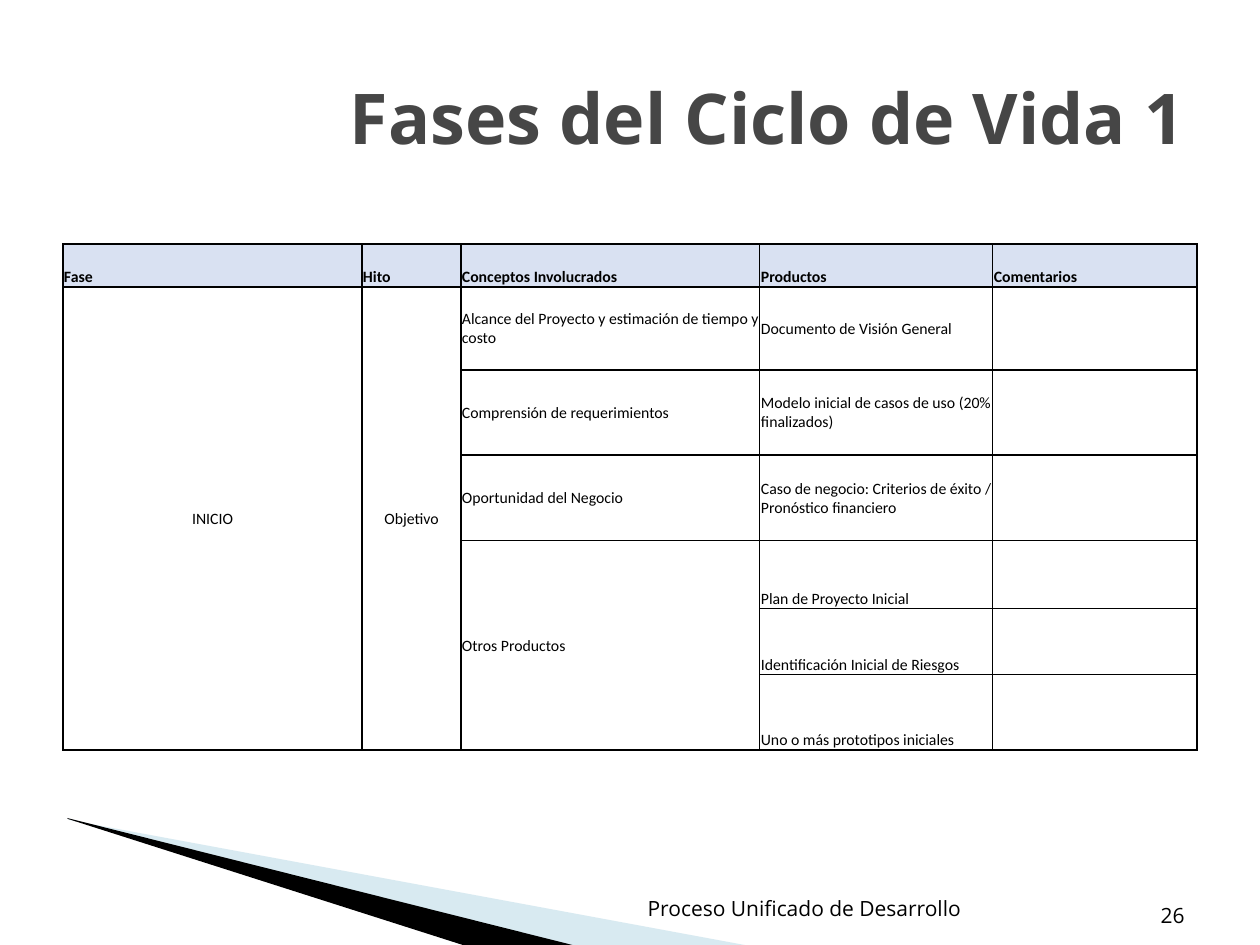
"""Build the slide on the phases of the life cycle, with its table and footer."""
from lxml import etree
from pptx import Presentation
from pptx import util as u
from pptx.dml.color import RGBColor
from pptx.enum import text
from pptx.oxml import ns

PX = 914400 / 126
BLACK = RGBColor(0x00, 0x00, 0x00)
TITLE_GRAY = RGBColor(0x46, 0x46, 0x46)
HEADER_BLUE = RGBColor(0xD9, 0xE1, 0xF2)
WEDGE_BLUE = RGBColor(0x9F, 0xCB, 0xDC)
LEFT, CENTER, RIGHT = text.PP_ALIGN.LEFT, text.PP_ALIGN.CENTER, text.PP_ALIGN.RIGHT
MIDDLE, BOTTOM = text.MSO_ANCHOR.MIDDLE, text.MSO_ANCHOR.BOTTOM


def px(*lengths):
    return [u.Emu(round(length * PX)) for length in lengths]


def write(frame, words, align, font_name, size, color, bold=False):
    frame.text = words
    paragraph = frame.paragraphs[0]
    paragraph.alignment = align
    for styled in (paragraph, *paragraph.runs):
        styled.font.name = font_name
        styled.font.size = u.Pt(size)
        styled.font.bold = bold
        styled.font.color.rgb = color


prs = Presentation()
prs.slide_width, prs.slide_height = px(1260, 945)
slide = prs.slides.add_slide(prs.slide_layouts[5])

wedges = [
    ([(69, 820), (750, 946), (575, 946), (69, 819)], WEDGE_BLUE, 40),
    ([(67, 818), (576, 946), (469, 947), (68, 819)], BLACK, 100),
]
for points, color, opacity in wedges:
    builder = slide.shapes.build_freeform(*points[0], scale=PX)
    builder.add_line_segments(points[1:])
    wedge = builder.convert_to_shape()
    wedge.shadow.inherit = False
    wedge.line.fill.background()
    wedge.fill.solid()
    wedge.fill.fore_color.rgb = color
    if opacity < 100:
        srgb = wedge.fill._xPr.find(".//" + ns.qn("a:srgbClr"))
        etree.SubElement(srgb, ns.qn("a:alpha"), val=str(opacity * 1000))

title = slide.shapes.title
title.left, title.top, title.width, title.height = px(63, 38, 1134, 158)
write(title.text_frame, "Fases del Ciclo de Vida 1", RIGHT, "Open Sans", 40, TITLE_GRAY, True)
title.text_frame.vertical_anchor = MIDDLE

footers = [
    ("26", (1057, 880, 140, 54), RIGHT, BOTTOM),
    ("Proceso Unificado de Desarrollo", (603, 883, 403, 50), CENTER, MIDDLE),
]
for words, box, align, anchor in footers:
    footer = slide.shapes.add_textbox(*px(*box)).text_frame
    footer.word_wrap = True
    footer.vertical_anchor = anchor
    write(footer, words, align, "Open Sans", 12, BLACK)

column_widths = [299, 99, 299, 233, 204]
row_heights = [43, 83, 85, 86, 68, 66, 75]
phases = [
    ["Fase", "Hito", "Conceptos Involucrados", "Productos", "Comentarios"],
    ["INICIO", "Objetivo", "Alcance del Proyecto y estimación de tiempo y costo",
     "Documento de Visión General", ""],
    ["", "", "Comprensión de requerimientos",
     "Modelo inicial de casos de uso (20% finalizados)", ""],
    ["", "", "Oportunidad del Negocio",
     "Caso de negocio: Criterios de éxito / Pronóstico financiero", ""],
    ["", "", "Otros Productos", "Plan de Proyecto Inicial", ""],
    ["", "", "", "Identificación Inicial de Riesgos", ""],
    ["", "", "", "Uno o más prototipos iniciales", ""],
]
last_row, last_column = len(row_heights) - 1, len(column_widths) - 1
table = slide.shapes.add_table(
    len(row_heights), len(column_widths),
    *px(63, 244, sum(column_widths), sum(row_heights))).table
table.first_row = table.horz_banding = False
for column, width in zip(table.columns, px(*column_widths)):
    column.width = width
for row, height in zip(table.rows, px(*row_heights)):
    row.height = height
for first_row, c in [(1, 0), (1, 1), (4, 2)]:
    table.cell(first_row, c).merge(table.cell(last_row, c))

for r, row_words in enumerate(phases):
    for c, words in enumerate(row_words):
        cell = table.cell(r, c)
        if cell.is_spanned:
            continue
        write(cell.text_frame, words, CENTER if r and c < 2 else LEFT, "Calibri", 9, BLACK, r == 0)
        cell.vertical_anchor = BOTTOM if r == 0 or (r > 3 and c > 2) else MIDDLE
        cell.margin_left, cell.margin_right, cell.margin_top, cell.margin_bottom = px(1, 1, 1, 0)
        end_row = r + (cell.span_height if cell.is_merge_origin else 1) - 1
        outer_edges = {"L": c == 0, "R": c == last_column, "T": r == 0, "B": end_row == last_row}
        properties = cell._tc.get_or_add_tcPr()
        for side, outer in outer_edges.items():
            border = etree.SubElement(properties, ns.qn("a:ln" + side),
                                      w=str(u.Pt(1 if outer else 0.75)))
            border_fill = etree.SubElement(border, ns.qn("a:solidFill"))
            etree.SubElement(border_fill, ns.qn("a:srgbClr"), val=str(BLACK))
        if r == 0:
            cell.fill.solid()
            cell.fill.fore_color.rgb = HEADER_BLUE
        else:
            cell.fill.background()

prs.save("out.pptx")
